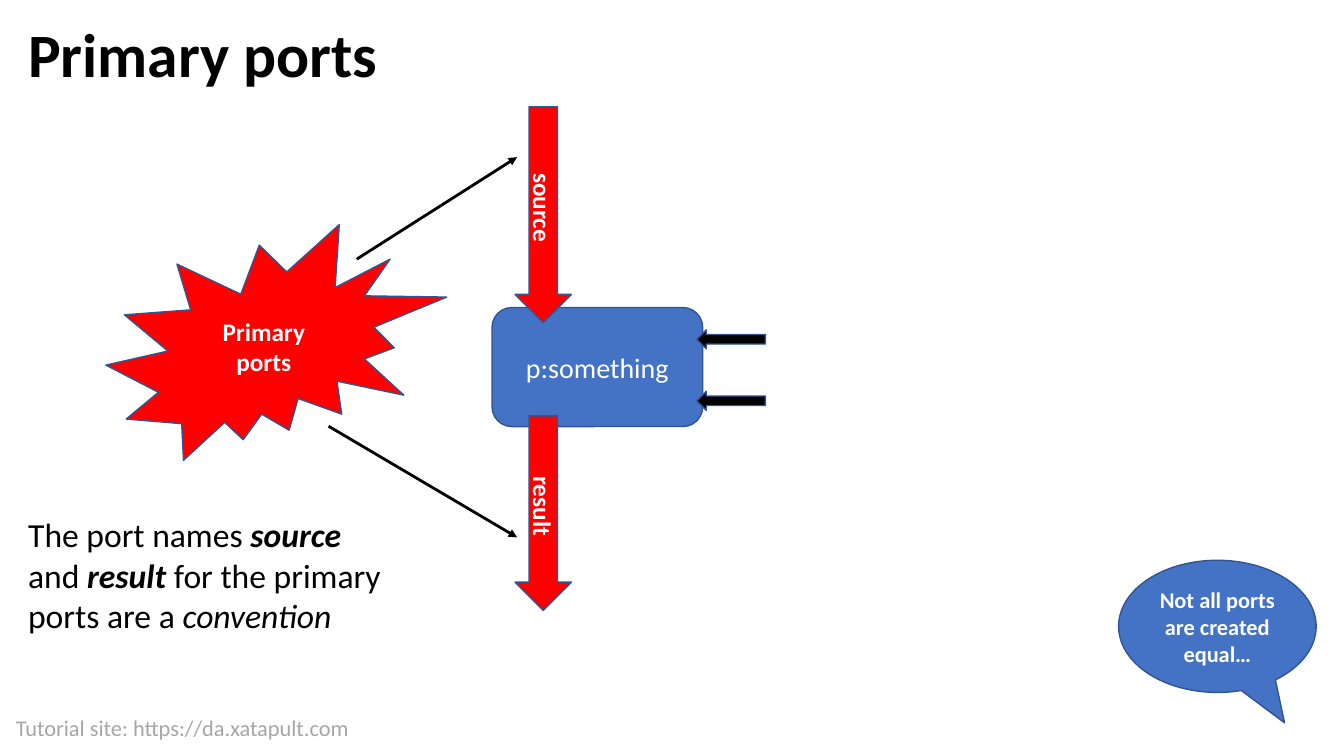
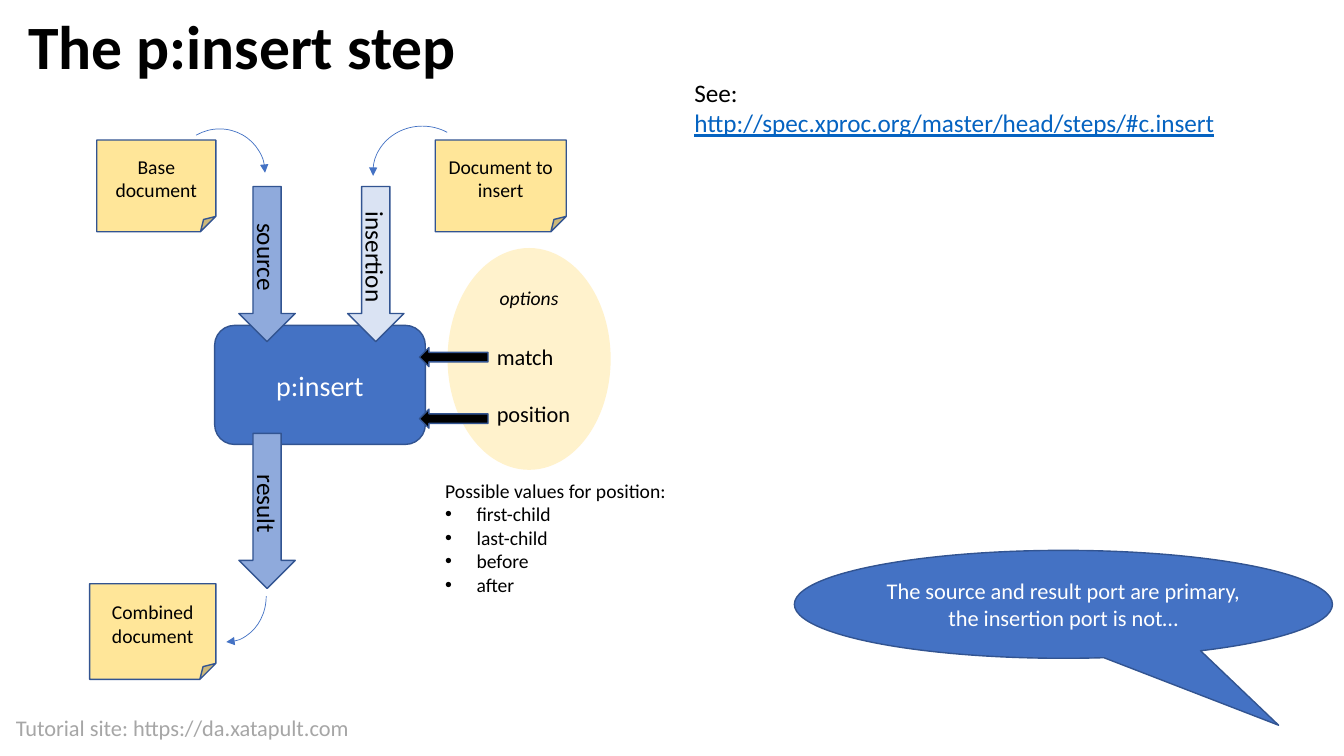
from lxml.etree import SubElement
from pptx import Presentation
from pptx.dml.color import RGBColor
from pptx.enum.shapes import MSO_CONNECTOR as LINE, MSO_SHAPE as SHAPE
from pptx.enum.text import MSO_ANCHOR as ANCHOR, PP_ALIGN as ALIGN
from pptx.oxml.ns import qn
from pptx.util import Cm, Pt

COLORS = {
    "black": "000000", "white": "FFFFFF", "footer": "A6A6A6", "link": "0563C1",
    "blue": "4472C4", "outline": "325491", "primary": "FF0000",
    "port": "8FAADC", "secondary": "DAE3F3", "note": "FFE699", "options": "FFF2CC",
}


def color(name):
    return RGBColor.from_string(COLORS[name])


class Deck:
    """Holds the style and the slide being drawn; all lengths are in cm."""
    font = "Calibri"
    arrow_width = 1.42
    option_offsets = (0.56, 2.11)

    def __init__(self):
        self.prs = Presentation()
        self.prs.slide_width, self.prs.slide_height = Cm(33.87), Cm(19.05)
        self.slide = None

    def new_slide(self, title, top, width):
        self.slide = self.prs.slides.add_slide(self.prs.slide_layouts[6])
        self.text(0.15, 17.88, 11.2, 0.94, "Tutorial site: https://da.xatapult.com",
                  size=16, ink="footer")
        heading = self.text(0.46, top, width, 1.96, title, size=44, bold=True)
        heading.vertical_anchor = ANCHOR.MIDDLE
        heading.paragraphs[0].line_spacing = 0.9

    def fill_text(self, frame, content, size, ink="black", bold=False, align=ALIGN.LEFT):
        """content: a string, or paragraphs made of (text, marks) runs.

        Marks: b bold, i italic, u link look; a * in the first run's
        marks turns the paragraph into a bullet.
        """
        frame.word_wrap = True
        if isinstance(content, str):
            content = [[(content, "")]]
        for index, runs in enumerate(content):
            para = frame.paragraphs[0] if index == 0 else frame.add_paragraph()
            para.alignment = align
            if "*" in runs[0][1]:
                self.bullet(para)
            for words, marks in runs:
                run = para.add_run()
                run.text = words
                run.font.name, run.font.size = self.font, Pt(size)
                run.font.bold = bold or "b" in marks
                run.font.italic = "i" in marks
                run.font.underline = "u" in marks
                run.font.color.rgb = color("link" if "u" in marks else ink)
        return frame

    def bullet(self, para):
        props = para._p.get_or_add_pPr()
        props.set("marL", str(Cm(0.79)))
        props.set("indent", str(-Cm(0.79)))
        SubElement(props, qn("a:buFont")).set("typeface", "Arial")
        SubElement(props, qn("a:buChar")).set("char", "•")

    def text(self, x, y, w, h, content, size, **style):
        box = self.slide.shapes.add_textbox(Cm(x), Cm(y), Cm(w), Cm(h))
        return self.fill_text(box.text_frame, content, size, **style)

    def shape(self, kind, x, y, w, h, fill, content=None, size=18, ink="white",
              bold=False, outline="outline", anchor=ANCHOR.MIDDLE):
        item = self.slide.shapes.add_shape(kind, Cm(x), Cm(y), Cm(w), Cm(h))
        item.shadow.inherit = False
        item.fill.solid()
        item.fill.fore_color.rgb = color(fill)
        if outline:
            item.line.color.rgb, item.line.width = color(outline), Pt(1)
        else:
            item.line.fill.background()
        if content:
            item.text_frame.vertical_anchor = anchor
            self.fill_text(item.text_frame, content, size, ink, bold, ALIGN.CENTER)
        return item

    def step(self, x, y, name):
        """A step box with its two option arrows on the right."""
        self.shape(SHAPE.ROUNDED_RECTANGLE, x, y, 5.31, 3, "blue", name, size=20)
        for offset in self.option_offsets:
            self.shape(SHAPE.LEFT_ARROW, x + 5.16, y + offset, 1.73, 0.48, "black")

    def port(self, center, top, length, name, fill, **style):
        """A downward arrow whose label turns with it."""
        arrow = self.shape(SHAPE.RIGHT_ARROW, center - length / 2,
                           top + (length - self.arrow_width) / 2,
                           length, self.arrow_width, fill, name, **style)
        arrow.rotation = 90

    def note(self, x, y, w, h, content):
        self.shape(SHAPE.FOLDED_CORNER, x, y, w, h, "note", content, size=14, ink="black")

    def callout(self, x, y, w, h, tip, content, bold=False):
        bubble = self.shape(SHAPE.OVAL_CALLOUT, x, y, w, h, "blue", content,
                            size=16, bold=bold)
        bubble.adjustments[0], bubble.adjustments[1] = tip

    def arrowhead(self, item, end="tailEnd"):
        SubElement(item.line._get_or_add_ln(), qn("a:" + end)).set("type", "triangle")

    def pointer(self, x1, y1, x2, y2):
        line = self.slide.shapes.add_connector(LINE.STRAIGHT, Cm(x1), Cm(y1), Cm(x2), Cm(y2))
        line.line.color.rgb, line.line.width = color("black"), Pt(2)
        self.arrowhead(line)
        SubElement(line._element.spPr, qn("a:effectLst"))

    def arc(self, x, y, w, h, angles=None, flip=None, end="tailEnd"):
        curve = self.slide.shapes.add_shape(SHAPE.ARC, Cm(x), Cm(y), Cm(w), Cm(h))
        curve.shadow.inherit = False
        curve.fill.background()
        curve.line.color.rgb, curve.line.width = color("blue"), Pt(0.5)
        if angles:
            curve.adjustments[0], curve.adjustments[1] = angles
        if flip:
            curve._element.spPr.get_or_add_xfrm().set(flip, "1")
        self.arrowhead(curve, end)


def primary_ports(deck):
    deck.new_slide("Primary ports", 0.48, 17.98)

    # Step with its primary ports
    deck.step(12.4, 7.75, "p:something")
    for top, length, name in ((2.69, 5.44, "source"), (10.48, 4.9, "result")):
        deck.port(13.69, top, length, name, "primary", bold=True)

    # Burst pointing at both ports
    deck.shape(SHAPE.EXPLOSION2, 2.67, 5.66, 8.59, 5.94, "primary", "Primary ports", bold=True)
    deck.pointer(8.99, 6.53, 13.03, 3.96)
    deck.pointer(8.28, 10.74, 13.03, 13.54)

    # Remarks
    deck.text(0.46, 12.83, 9.73, 3.33, [[
        ("The port names ", ""), ("source", "bi"), (" and ", ""), ("result", "bi"),
        (" for the primary ports are a ", ""), ("convention", "i")]], size=24)
    deck.callout(28.19, 14.12, 4.98, 3.33, (0.34, 0.73),
                 "Not all ports are created equal…", bold=True)


def insert_step(deck):
    # Options area lies behind the step
    deck.new_slide("The p:insert step", 0.28, 19)
    deck.shape(SHAPE.OVAL, 11.28, 6.25, 4.11, 5.59, "options", [[("options", "i")]],
               size=14, ink="black", outline=None, anchor=ANCHOR.TOP)

    # Step, ports and option names
    deck.step(5.41, 8.2, "p:insert")
    for center, top, name, fill in ((6.73, 4.7, "source", "port"),
                                    (9.47, 4.7, "insertion", "secondary"),
                                    (6.73, 10.92, "result", "port")):
        deck.port(center, top, 3.91, name, fill, ink="black")
    for top, option in ((8.51, "match"), (9.96, "position")):
        deck.text(12.27, top, 4.04, 0.94, option, size=16)

    # Documents and the arcs that tie them to ports
    deck.note(2.44, 3.53, 3, 2.31, [[("Base", "")], [("document", "")]])
    deck.note(10.97, 3.53, 3.3, 2.31, "Document to insert")
    deck.note(2.26, 14.71, 3.18, 2.41, "Combined document")
    deck.arc(4.39, 3.25, 2.29, 2.21, angles=(142.79, 0))
    deck.arc(9.4, 3.18, 2.49, 2.31, angles=(142.79, 2.68), flip="flipH")
    deck.arc(4.7, 13.87, 2.01, 2.31, flip="flipV", end="headEnd")

    # Remarks
    values = ("first-child", "last-child", "before", "after")
    deck.text(10.97, 11.94, 6.96, 3.25, [[("Possible values for position:", "")]]
              + [[(value, "*")] for value in values], size=14)
    deck.callout(20.02, 13.87, 13.56, 2.72, (0.4, 1.12),
                 "The source and result port are primary, the insertion port is not…")
    deck.text(17.25, 1.83, 14.53, 2.57, [[
        ("See: ", ""), ("http://spec.xproc.org/master/head/steps/#c.insert", "u")]], size=18)


def main():
    deck = Deck()
    primary_ports(deck)
    insert_step(deck)
    deck.prs.save("out.pptx")


if __name__ == "__main__":
    main()
